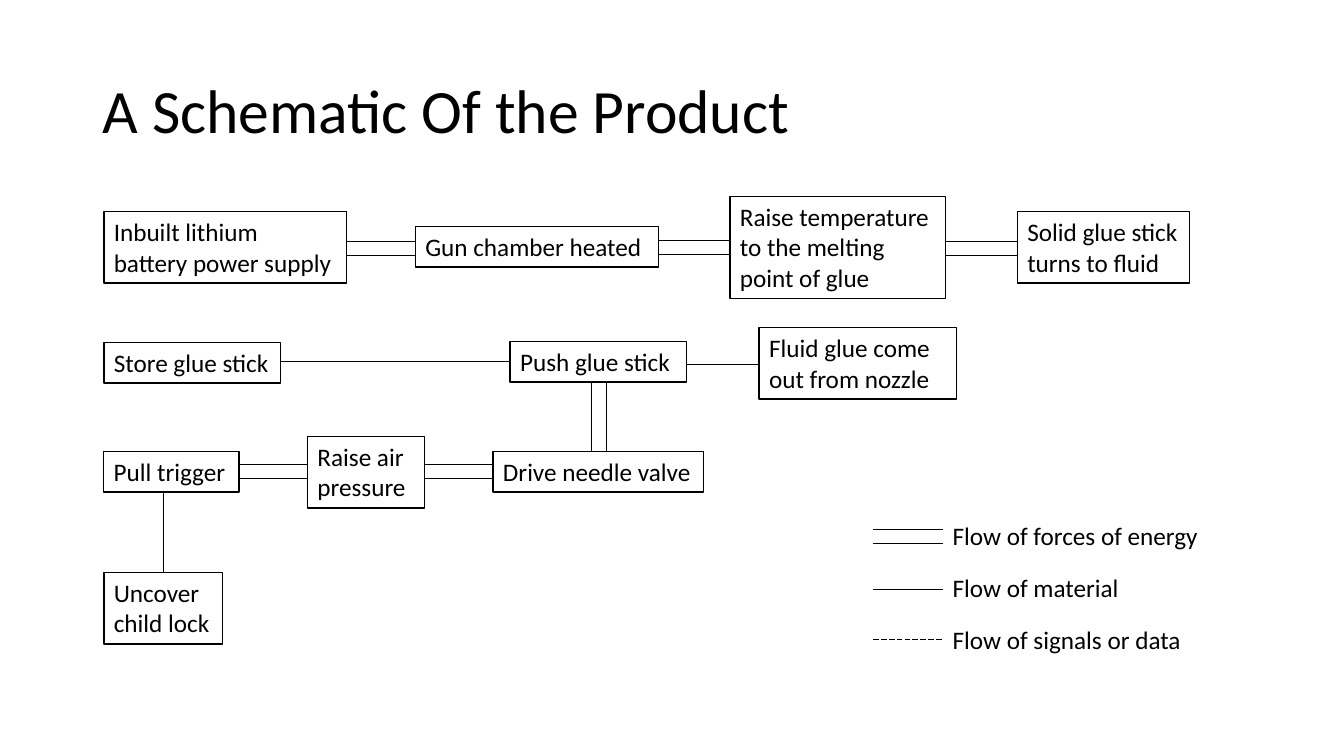
from lxml import etree
from pptx import Presentation
from pptx.dml.color import RGBColor
from pptx.enum.dml import MSO_LINE
from pptx.enum.shapes import MSO_CONNECTOR, MSO_SHAPE
from pptx.enum.text import MSO_ANCHOR, MSO_AUTO_SIZE, PP_ALIGN
from pptx.oxml.ns import qn
from pptx.util import Inches, Pt

BLACK = RGBColor(0x00, 0x00, 0x00)
WHITE = RGBColor(0xFF, 0xFF, 0xFF)
FONT = "Calibri"
RECTANGLE = MSO_SHAPE.RECTANGLE
STRAIGHT = MSO_CONNECTOR.STRAIGHT
LONG_DASH = MSO_LINE.LONG_DASH
FIT_SHAPE = MSO_AUTO_SIZE.SHAPE_TO_FIT_TEXT
LEFT = PP_ALIGN.LEFT
TOP, MIDDLE = MSO_ANCHOR.TOP, MSO_ANCHOR.MIDDLE

BODY_SIZE = 18
HALF_GAP = 0.07  # from the centre of an energy flow to each of its lines
BOX_HEIGHTS = {1: 0.4, 2: 0.71, 3: 1.01}  # by number of text lines

# name: (left, top, width, text lines, text)
STEPS = {
    "battery": (1.03, 2.1, 2.41, 2, "Inbuilt lithium battery power supply"),
    "chamber": (4.12, 2.25, 2.41, 1, "Gun chamber heated"),
    "temperature": (7.24, 1.95, 2.14, 3,
                    "Raise temperature to the melting point of glue"),
    "melt": (10.09, 2.1, 1.71, 2, "Solid glue stick turns to fluid"),
    "store": (1.03, 3.4, 1.75, 1, "Store glue stick"),
    "push": (5.06, 3.39, 1.75, 1, "Push glue stick"),
    "nozzle": (7.53, 3.25, 1.96, 2, "Fluid glue come out from nozzle"),
    "trigger": (1.03, 4.48, 1.34, 1, "Pull trigger"),
    "air": (3.05, 4.33, 1.16, 2, "Raise air pressure"),
    "valve": (4.89, 4.48, 2.09, 1, "Drive needle valve"),
    "lock": (1.03, 5.68, 1.18, 2, "Uncover child lock"),
}

# (left step, right step, height of the flow, is energy)
ACROSS_FLOWS = [
    ("battery", "chamber", 2.46, True),
    ("chamber", "temperature", 2.45, True),
    ("temperature", "melt", 2.46, True),
    ("store", "push", 3.59, False),
    ("push", "nozzle", 3.61, False),
    ("trigger", "air", 4.68, True),
    ("air", "valve", 4.68, True),
]

# (lower step, upper step, horizontal place of the flow, is energy)
UPWARD_FLOWS = [("valve", "push", 5.94, True), ("lock", "trigger", 1.62, False)]

# (label top, line height, is energy, dash, label)
LEGEND = [
    (5.11, 5.32, True, None, "Flow of forces of energy"),
    (5.63, 5.85, False, None, "Flow of material"),
    (6.14, 6.34, False, LONG_DASH, "Flow of signals or data"),
]


def write_text(shape, text, size, anchor=TOP):
    """Put one left-aligned, wrapping paragraph into a shape."""
    frame = shape.text_frame
    frame.text = text
    frame.word_wrap = True
    frame.vertical_anchor = anchor
    paragraph = frame.paragraphs[0]
    paragraph.alignment = LEFT
    font = paragraph.runs[0].font
    font.name, font.size = FONT, Pt(size)
    font.color.rgb = BLACK
    return frame


def add_title(slide, text):
    """Add the slide title."""
    box = slide.shapes.add_textbox(
        Inches(0.92), Inches(0.4), Inches(11.5), Inches(1.45))
    frame = write_text(box, text, 44, MIDDLE)
    frame.paragraphs[0].line_spacing = 0.9


def add_step(slide, left, top, width, lines, text):
    """Add an outlined box that holds one step of the process."""
    box = slide.shapes.add_shape(
        RECTANGLE, Inches(left), Inches(top), Inches(width),
        Inches(BOX_HEIGHTS[lines]))
    box.shadow.inherit = False
    box.fill.solid()
    box.fill.fore_color.rgb = WHITE
    box.line.color.rgb = BLACK
    box.line.width = Pt(1)
    write_text(box, text, BODY_SIZE).auto_size = FIT_SHAPE


def add_line(shapes, start, end, dash=None):
    """Add one thin line between two points."""
    line = shapes.add_connector(STRAIGHT, *map(Inches, start + end))
    line.line.color.rgb = BLACK
    line.line.width = Pt(0.5)
    if dash is not None:
        line.line.dash_style = dash
    etree.SubElement(line.element.spPr, qn("a:effectLst"))


def add_flow(shapes, start, end, is_energy, dash=None):
    """Add a flow: two parallel lines for energy, otherwise one line."""
    (x1, y1), (x2, y2) = start, end
    for offset in (-HALF_GAP, HALF_GAP) if is_energy else (0,):
        dx, dy = (0, offset) if y1 == y2 else (offset, 0)
        add_line(shapes, (x1 + dx, y1 + dy), (x2 + dx, y2 + dy), dash)


def flow_container(slide, is_energy):
    """Return a new group's shapes for an energy flow, else the slide's."""
    return slide.shapes.add_group_shape().shapes if is_energy else slide.shapes


def add_step_flows(slide):
    """Join the steps from edge to edge."""
    for first, second, y, is_energy in ACROSS_FLOWS:
        left, _, width, _, _ = STEPS[first]
        add_flow(flow_container(slide, is_energy),
                 (left + width, y), (STEPS[second][0], y), is_energy)
    for lower, upper, x, is_energy in UPWARD_FLOWS:
        _, top, _, lines, _ = STEPS[upper]
        add_flow(flow_container(slide, is_energy),
                 (x, STEPS[lower][1]), (x, top + BOX_HEIGHTS[lines]), is_energy)


def add_legend(slide):
    """Add the key to the kinds of flow as one group."""
    shapes = slide.shapes.add_group_shape().shapes
    for top, y, is_energy, dash, text in LEGEND:
        label = shapes.add_textbox(
            Inches(9.35), Inches(top), Inches(3.2), Inches(0.4))
        write_text(label, text, BODY_SIZE).auto_size = FIT_SHAPE
        add_flow(shapes, (8.66, y), (9.35, y), is_energy, dash)


def main():
    """Build the slide and save it."""
    presentation = Presentation()
    presentation.slide_width = Inches(13.33)
    presentation.slide_height = Inches(7.5)
    slide = presentation.slides.add_slide(presentation.slide_layouts[6])
    add_title(slide, "A Schematic Of the Product")
    add_legend(slide)
    for step in STEPS.values():
        add_step(slide, *step)
    add_step_flows(slide)
    presentation.save("out.pptx")


main()
